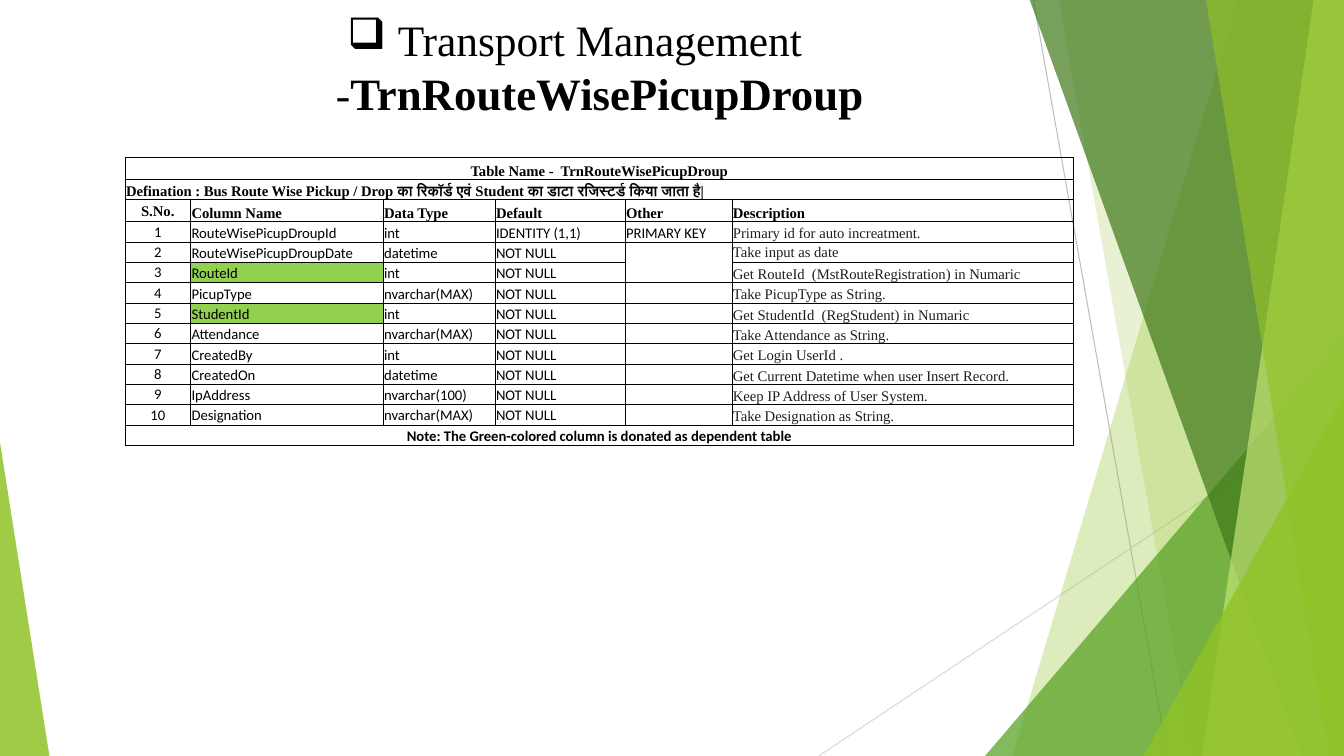
"""Build the Transport Management table-definition slide."""
from dataclasses import dataclass

from lxml import etree
from pptx import Presentation
from pptx import util as u
from pptx.dml.color import RGBColor
from pptx.enum import shapes, text
from pptx.oxml import ns

TITLE = [("Transport Management -", False), ("TrnRouteWisePicupDroup", True)]
CAPTION = "Table Name -  TrnRouteWisePicupDroup"
DEFINITION = ("Defination : Bus Route Wise Pickup / Drop का रिकॉर्ड एवं "
              "Student का डाटा रजिस्टर्ड किया जाता है|")
NOTE = "Note: The Green-colored column is donated as dependent table"
HEADER = ("S.No.", "Column Name", "Data Type", "Default", "Other", "Description")
FIELDS = [
    ("RouteWisePicupDroupId", "int", "IDENTITY (1,1)", "PRIMARY KEY",
     "Primary id for auto increatment."),
    ("RouteWisePicupDroupDate", "datetime", "NOT NULL", "", "Take input as date"),
    ("RouteId", "int", "NOT NULL", "", "Get RouteId  (MstRouteRegistration) in Numaric"),
    ("PicupType", "nvarchar(MAX)", "NOT NULL", "", "Take PicupType as String."),
    ("StudentId", "int", "NOT NULL", "", "Get StudentId  (RegStudent) in Numaric"),
    ("Attendance", "nvarchar(MAX)", "NOT NULL", "", "Take Attendance as String."),
    ("CreatedBy", "int", "NOT NULL", "", "Get Login UserId ."),
    ("CreatedOn", "datetime", "NOT NULL", "",
     "Get Current Datetime when user Insert Record."),
    ("IpAddress", "nvarchar(100)", "NOT NULL", "", "Keep IP Address of User System."),
    ("Designation", "nvarchar(MAX)", "NOT NULL", "", "Take Designation as String."),
]
DEPENDENT = {"RouteId", "StudentId"}
COLUMN_WIDTHS = (0.65, 1.91, 1.11, 1.29, 1.06, 3.39)
HEAD_HEIGHTS = (0.22, 0.2, 0.22)
TABLE_LEFT, TABLE_TOP, TABLE_HEIGHT = 1.24, 1.56, 2.86
SLIDE_WIDTH, SLIDE_HEIGHT, BLEED = 13.33, 7.5, -0.01


@dataclass(frozen=True)
class Theme:
    """Colours, fonts and type sizes."""
    black: str = "000000"
    ink: str = "1F1F1F"
    key: str = "92D050"
    lime: str = "90C226"
    green: str = "54A021"
    forest: str = "3F7819"
    pale: str = "C0E474"
    serif: str = "Times New Roman"
    sans: str = "Calibri"
    title: float = 31
    title_bold: float = 32
    cell: float = 10.5


THEME = Theme()
RAYS = [((10.25, 0), (11.58, 7.5), "BFBFBF"), ((13.33, 4.03), (8.12, 7.5), "D9D9D9")]
BANDS = [
    ("quad", 12.28, 10.04, THEME.lime, 30),
    ("quad", 10.5, 11.83, THEME.lime, 20),
    ("triangle", (9.77, 3.33, 3.56, 4.17), 1, THEME.green, 72),
    ("quad", 10.21, 12.91, THEME.forest, 70),
    ("quad", 13.03, 11.92, THEME.pale, 70),
    ("quad", 11.96, 13.18, THEME.lime, 65),
    ("triangle", (11.34, 3.93, 1.99, 3.57), 1, THEME.lime, 80),
    ("triangle", (0, 4.39, 0.49, 3.11), 0, THEME.lime, 85),
]


def rgb(code):
    """Turn a hex code into a colour."""
    return RGBColor.from_string(code)


def write(paragraph, content, *, size, font, color=THEME.black, bold=False, align=None):
    """Add one formatted run to a paragraph."""
    paragraph.alignment = align
    if not content:
        etree.SubElement(paragraph._p, ns.qn("a:endParaRPr"), sz=str(int(size * 100)))
        return
    run = paragraph.add_run()
    run.text = content
    run.font.size, run.font.name, run.font.bold = u.Pt(size), font, bold
    run.font.color.rgb = rgb(color)


def draw_background(slide):
    """Draw the thin rays and the translucent green bands."""
    for start, end, color in RAYS:
        ray = slide.shapes.add_connector(
            shapes.MSO_CONNECTOR.STRAIGHT, *map(u.Inches, start + end))
        ray.line.color.rgb, ray.line.width = rgb(color), u.Pt(0.75)
        etree.SubElement(ray._element.spPr, ns.qn("a:effectLst"))
    for kind, outline, point, color, opacity in BANDS:
        if kind == "quad":
            corners = [(outline, BLEED), (SLIDE_WIDTH, BLEED),
                       (SLIDE_WIDTH, SLIDE_HEIGHT), (point, SLIDE_HEIGHT)]
            corners = [(u.Inches(x), u.Inches(y)) for x, y in corners]
            builder = slide.shapes.build_freeform(*corners[0])
            builder.add_line_segments(corners[1:], close=True)
            shape = builder.convert_to_shape()
        else:
            shape = slide.shapes.add_shape(
                shapes.MSO_SHAPE.ISOSCELES_TRIANGLE, *map(u.Inches, outline))
            shape.adjustments[0] = point
        shape.shadow.inherit = False
        shape.line.fill.background()
        shape.fill.solid()
        shape.fill.fore_color.rgb = rgb(color)
        tint = shape._element.spPr.find(".//" + ns.qn("a:srgbClr"))
        etree.SubElement(tint, ns.qn("a:alpha"), val=str(opacity * 1000))


def draw_title(slide):
    """Place the bulleted title."""
    title = slide.shapes.title
    slide.shapes._spTree.append(title._element)
    title.left, title.top, title.width, title.height = map(u.Inches, (1.56, 0.08, 8.28, 1.16))
    frame = title.text_frame
    frame.word_wrap = True
    frame.auto_size = text.MSO_AUTO_SIZE.SHAPE_TO_FIT_TEXT
    frame.vertical_anchor = text.MSO_ANCHOR.TOP
    paragraph = frame.paragraphs[0]
    properties = paragraph._p.get_or_add_pPr()
    properties.set("marL", str(u.Inches(0.5)))
    properties.set("indent", str(u.Inches(-0.5)))
    etree.SubElement(properties, ns.qn("a:buChar"), char="❑")
    for content, bold in TITLE:
        write(paragraph, content, size=THEME.title_bold if bold else THEME.title,
              font=THEME.serif, bold=bold, align=text.PP_ALIGN.CENTER)


def set_borders(cell, hidden):
    """Rule every side of a cell except the hidden one."""
    properties = cell._tc.get_or_add_tcPr()
    for side in "LRTB":
        line = etree.SubElement(properties, ns.qn("a:ln" + side), w=str(u.Pt(0.5)))
        if side == hidden:
            etree.SubElement(line, ns.qn("a:noFill"))
        else:
            fill = etree.SubElement(line, ns.qn("a:solidFill"))
            etree.SubElement(fill, ns.qn("a:srgbClr"), val=THEME.black)


def draw_table(slide):
    """Build the column-definition table."""
    blank = ("",) * 5
    rows = [(CAPTION, *blank), (DEFINITION, *blank), HEADER]
    rows += [(str(number), *field) for number, field in enumerate(FIELDS, 1)]
    rows.append((NOTE, *blank))
    last, head = len(rows) - 1, len(HEAD_HEIGHTS)
    body_height = (TABLE_HEIGHT - sum(HEAD_HEIGHTS)) / (len(rows) - head)
    heights = HEAD_HEIGHTS + (body_height,) * (len(rows) - head)
    table = slide.shapes.add_table(
        len(rows), len(HEADER), u.Inches(TABLE_LEFT), u.Inches(TABLE_TOP),
        u.Inches(sum(COLUMN_WIDTHS)), u.Inches(TABLE_HEIGHT)).table
    table.first_row = table.horz_banding = False
    for column, width in zip(table.columns, COLUMN_WIDTHS):
        column.width = u.Inches(width)
    for r, (values, height) in enumerate(zip(rows, heights)):
        table.rows[r].height = u.Inches(height)
        for c, value in enumerate(values):
            cell = table.cell(r, c)
            cell.margin_left = cell.margin_right = cell.margin_top = u.Inches(0.01)
            cell.margin_bottom = 0
            body = head <= r < last
            description = body and c == 5
            middle = (c == 0 and 2 <= r < last) or value == "Take input as date"
            cell.vertical_anchor = text.MSO_ANCHOR.MIDDLE if middle else text.MSO_ANCHOR.BOTTOM
            write(cell.text_frame.paragraphs[0], value, size=THEME.cell,
                  font=THEME.serif if r < head or description else THEME.sans,
                  color=THEME.ink if description else THEME.black, bold=not body,
                  align=text.PP_ALIGN.CENTER if c == 0 and r != 1 else text.PP_ALIGN.LEFT)
            set_borders(cell, {(4, 4): "B", (5, 4): "T"}.get((r, c)))
            if value in DEPENDENT:
                cell.fill.solid()
                cell.fill.fore_color.rgb = rgb(THEME.key)
            else:
                cell.fill.background()
    for r in (0, 1, last):
        table.cell(r, 0).merge(table.cell(r, len(HEADER) - 1))


def main():
    """Create and save the presentation."""
    presentation = Presentation()
    presentation.slide_width = u.Inches(SLIDE_WIDTH)
    presentation.slide_height = u.Inches(SLIDE_HEIGHT)
    slide = presentation.slides.add_slide(presentation.slide_layouts[5])
    draw_background(slide)
    draw_title(slide)
    draw_table(slide)
    presentation.save("out.pptx")


if __name__ == "__main__":
    main()
